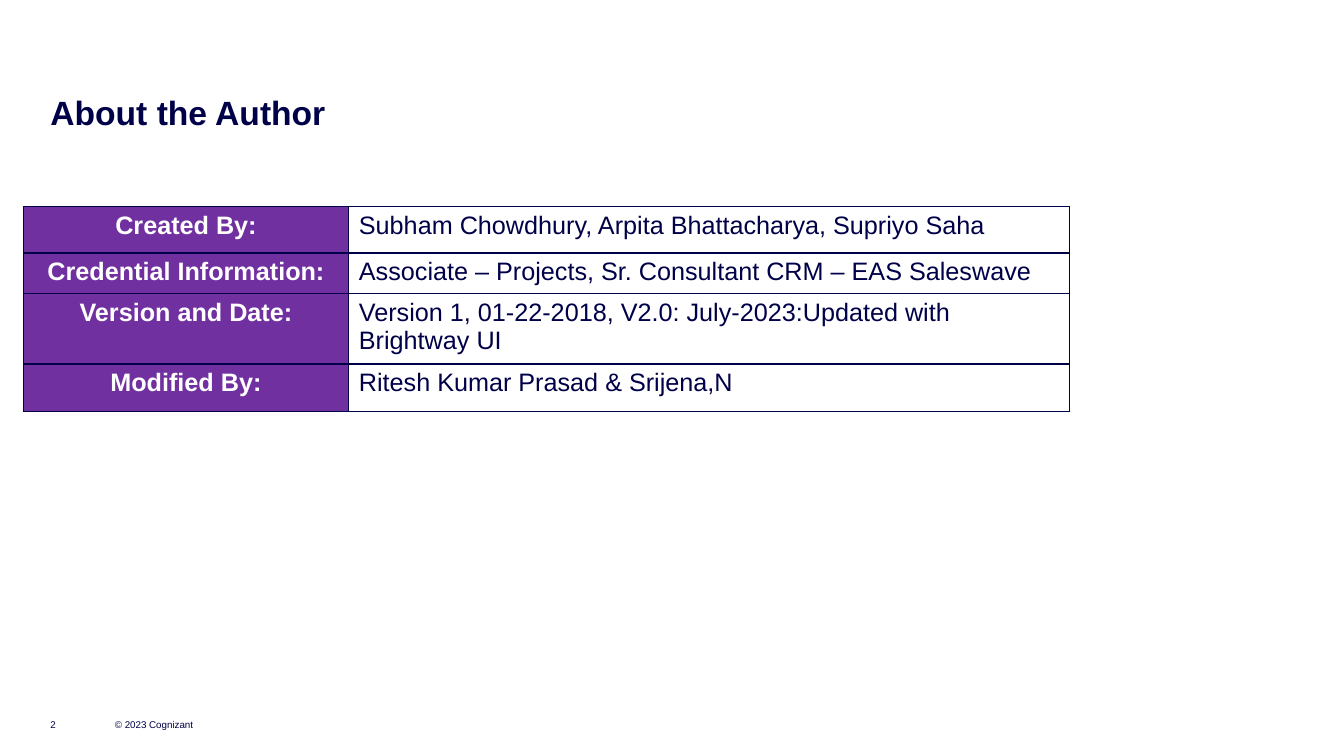
from lxml import etree
from pptx import Presentation
from pptx.dml.color import RGBColor
from pptx.enum import text
from pptx.oxml import ns
from pptx.util import Inches, Pt

COLORS = {"navy": "000048", "purple": "7030A0", "white": "FFFFFF"}
ROWS = [
    (0.46, "Created By:", "Subham Chowdhury, Arpita Bhattacharya, Supriyo Saha"),
    (0.38, "Credential Information:",
     "Associate – Projects, Sr. Consultant CRM – EAS Saleswave"),
    (0.66, "Version and Date:",
     "Version 1, 01-22-2018, V2.0: July-2023:Updated with Brightway UI"),
    (0.47, "Modified By:", "Ritesh Kumar Prasad & Srijena,N"),
]
COLUMN_WIDTHS = [3.23, 7.15]
COLUMN_STYLES = [
    ("purple", "white", True, text.PP_ALIGN.CENTER),
    ("white", "navy", False, text.PP_ALIGN.LEFT),
]
LABELS = [
    ("About the Author", 0.5, 0.91, 11.82, 0.34, 24, True, text.MSO_ANCHOR.TOP),
    ("2", 0.5, 6.85, 0.39, 0.4, 7, False, text.MSO_ANCHOR.BOTTOM),
    ("© 2023 Cognizant", 1.14, 6.85, 1.31, 0.4, 7, False, text.MSO_ANCHOR.BOTTOM),
]


def write(frame, wording, size, color, bold, align=text.PP_ALIGN.LEFT):
    para = frame.paragraphs[0]
    para.alignment = align
    span = para.add_run()
    span.text = wording
    for name, value in {"name": "Arial", "size": Pt(size), "bold": bold}.items():
        setattr(span.font, name, value)
    span.font.color.rgb = RGBColor.from_string(COLORS[color])


def add_borders(cell):
    props = cell._tc.get_or_add_tcPr()
    for side in ("lnL", "lnR", "lnT", "lnB"):
        line = etree.SubElement(props, ns.qn(f"a:{side}"), w=str(Pt(1)))
        fill = etree.SubElement(line, ns.qn("a:solidFill"))
        etree.SubElement(fill, ns.qn("a:srgbClr"), val=COLORS["navy"])


deck = Presentation()
deck.slide_width, deck.slide_height = Inches(13.33), Inches(7.5)
page = deck.slides.add_slide(deck.slide_layouts[6])

for wording, left, top, width, height, size, bold, anchor in LABELS:
    box = page.shapes.add_textbox(Inches(left), Inches(top), Inches(width), Inches(height))
    frame = box.text_frame
    for name, value in {"margin_left": 0, "margin_right": 0, "margin_top": 0,
                        "margin_bottom": 0, "word_wrap": True,
                        "vertical_anchor": anchor}.items():
        setattr(frame, name, value)
    write(frame, wording, size, "navy", bold)

table = page.shapes.add_table(
    len(ROWS), len(COLUMN_WIDTHS), Inches(0.23), Inches(2.05),
    Inches(sum(COLUMN_WIDTHS)), Inches(sum(row[0] for row in ROWS))).table
table.first_row = table.horz_banding = False
for column, width in zip(table.columns, COLUMN_WIDTHS):
    column.width = Inches(width)

for row, (height, *wordings) in enumerate(ROWS):
    table.rows[row].height = Inches(height)
    for col, (fill, color, bold, align) in enumerate(COLUMN_STYLES):
        cell = table.cell(row, col)
        add_borders(cell)
        cell.fill.solid()
        cell.fill.fore_color.rgb = RGBColor.from_string(COLORS[fill])
        write(cell.text_frame, wordings[col], 18, color, bold, align)

deck.save("out.pptx")
